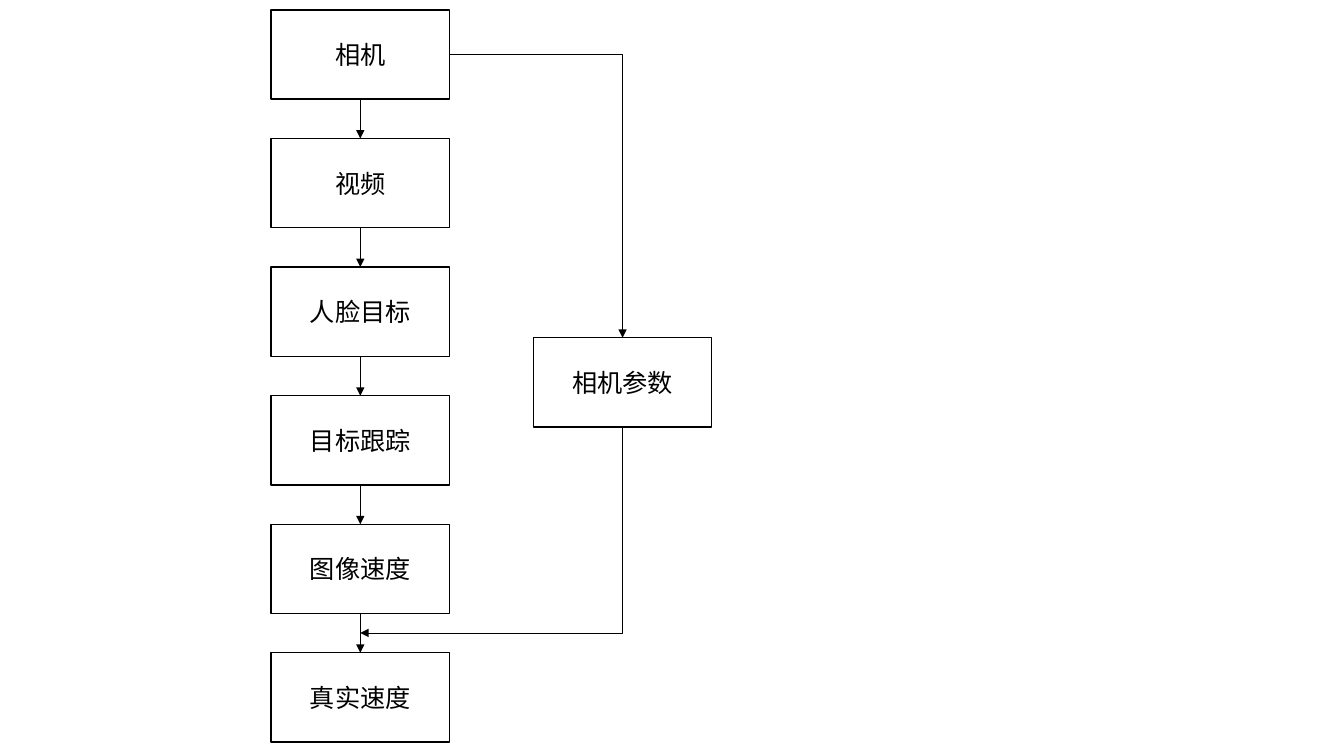
from itertools import pairwise

from pptx import Presentation
from pptx.dml.color import RGBColor
from pptx.enum.shapes import MSO_CONNECTOR as LINK, MSO_SHAPE as SHAPE
from pptx.enum.text import MSO_ANCHOR as ANCHOR, PP_ALIGN as ALIGN
from pptx.oxml.ns import qn
from pptx.oxml.xmlchemy import OxmlElement
from pptx.util import Cm, Pt

COLORS = {"box": "FFFFFF", "ink": "000000"}
FONT = "Noto Sans CJK SC"

# Layout in centimetres
BOX_W, BOX_H = 4.5, 2.25
MAIN_X, MAIN_Y, STEP = 6.83, 0.25, 3.24
PARAM_X, PARAM_Y = 13.44, 8.51
MERGE_Y = 15.95
STEPS = ["相机", "视频", "人脸目标", "目标跟踪", "图像速度", "真实速度"]
TOP, BOTTOM, RIGHT = 0, 2, 3  # connection sites of a rectangle


def color(name):
    return RGBColor.from_string(COLORS[name])


def write(tf, text, size=18, ink="ink", font=FONT, align=ALIGN.CENTER):
    tf.word_wrap = True
    tf.vertical_anchor = ANCHOR.MIDDLE
    p = tf.paragraphs[0]
    p.alignment = align
    r = p.add_run()
    r.text = text
    r.font.size = Pt(size)
    r.font.name = font
    r.font.color.rgb = color(ink)
    ea = OxmlElement("a:ea")
    ea.set("typeface", font)
    r.font.color.rgb = color(ink)
    r.font.name = font
    r._r.get_or_add_rPr().find(qn("a:latin")).addnext(ea)


class FlowChart:
    def __init__(self, slide, box_line=1, arrow_line=0.5):
        self.shapes = slide.shapes
        self.box_line, self.arrow_line = Pt(box_line), Pt(arrow_line)

    def box(self, text, x, y):
        sp = self.shapes.add_shape(SHAPE.RECTANGLE, Cm(x), Cm(y), Cm(BOX_W), Cm(BOX_H))
        sp.shadow.inherit = False
        sp.fill.solid()
        sp.fill.fore_color.rgb = color("box")
        sp.line.color.rgb = color("ink")
        sp.line.width = self.box_line
        write(sp.text_frame, text)
        return sp

    def arrow(self, start, start_site, end, end_site, kind=LINK.STRAIGHT):
        link = self.shapes.add_connector(kind, 0, 0, 0, 0)
        link.begin_connect(start, start_site)
        link.end_connect(end, end_site)
        return self.style_arrow(link)

    def corner(self, start, start_site, end, end_site):
        link = self.arrow(start, start_site, end, end_site, LINK.ELBOW)
        return self.single_bend(link)

    def corner_down_left(self, x1, y1, x2, y2):
        # A quarter turn makes the single bend run down, then left
        w, h = y2 - y1, x1 - x2
        left, top = (x1 + x2 - w) / 2, (y1 + y2 - h) / 2
        link = self.shapes.add_connector(
            LINK.ELBOW, Cm(left), Cm(top), Cm(left + w), Cm(top + h))
        link.element.spPr.find(qn("a:xfrm")).set("rot", str(90 * 60000))
        return self.single_bend(self.style_arrow(link))

    def single_bend(self, link):
        link.element.spPr.find(qn("a:prstGeom")).set("prst", "bentConnector2")
        return link

    def style_arrow(self, link):
        link.line.color.rgb = color("ink")
        link.line.width = self.arrow_line
        spPr = link.element.spPr
        tail = OxmlElement("a:tailEnd")
        tail.set("type", "triangle")
        spPr.find(qn("a:ln")).append(tail)
        spPr.append(OxmlElement("a:effectLst"))
        return link


def main():
    prs = Presentation()
    prs.slide_width, prs.slide_height = Cm(33.87), Cm(19.05)
    chart = FlowChart(prs.slides.add_slide(prs.slide_layouts[6]))

    # Main column and the camera parameters beside it
    boxes = [chart.box(text, MAIN_X, MAIN_Y + i * STEP) for i, text in enumerate(STEPS)]
    params = chart.box("相机参数", PARAM_X, PARAM_Y)

    # Arrows down the column
    for upper, lower in pairwise(boxes):
        chart.arrow(upper, BOTTOM, lower, TOP)

    # Side branch, joining above the last step
    chart.corner(boxes[0], RIGHT, params, TOP)
    chart.corner_down_left(PARAM_X + BOX_W / 2, PARAM_Y + BOX_H,
                           MAIN_X + BOX_W / 2, MERGE_Y)

    prs.save("out.pptx")


if __name__ == "__main__":
    main()
